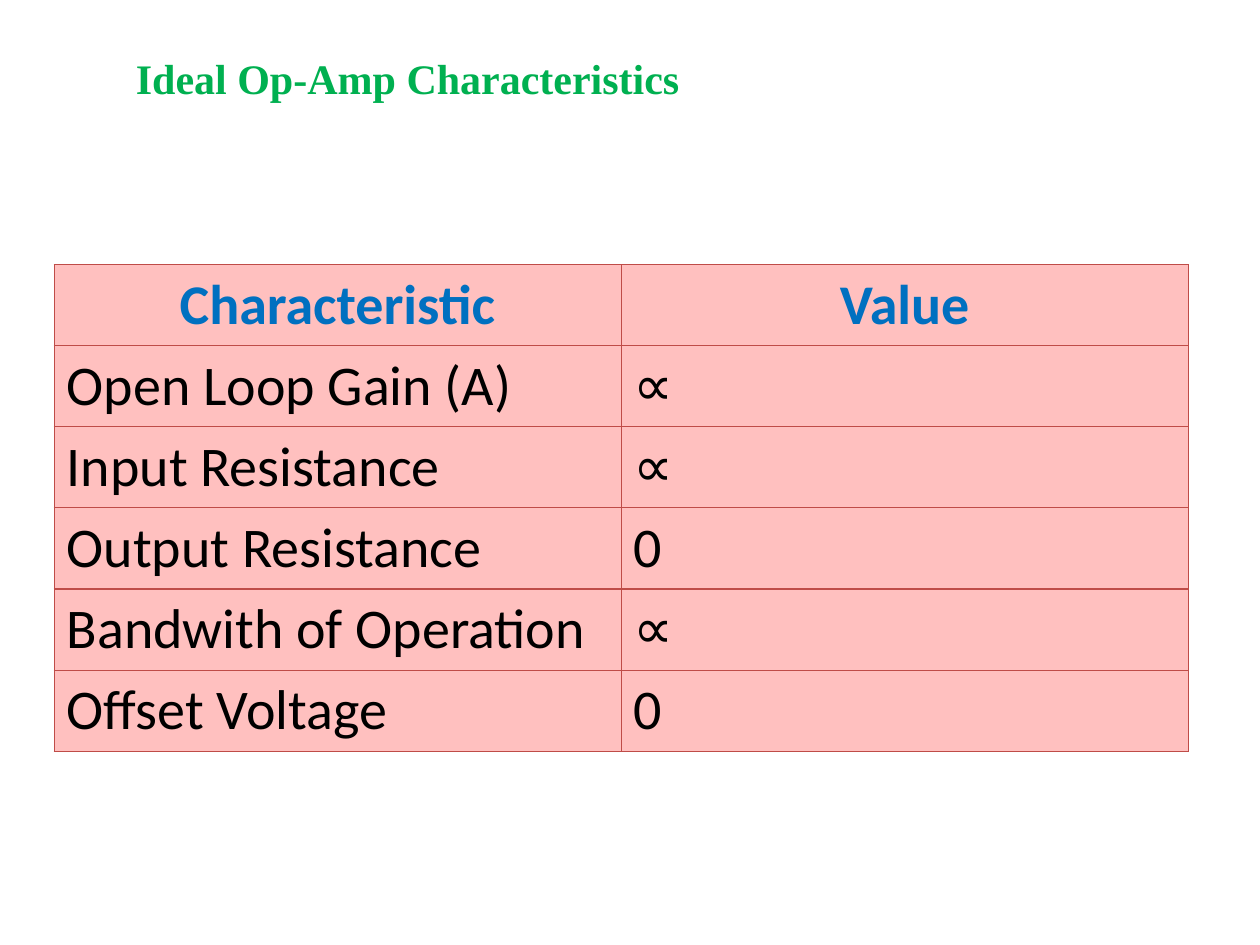
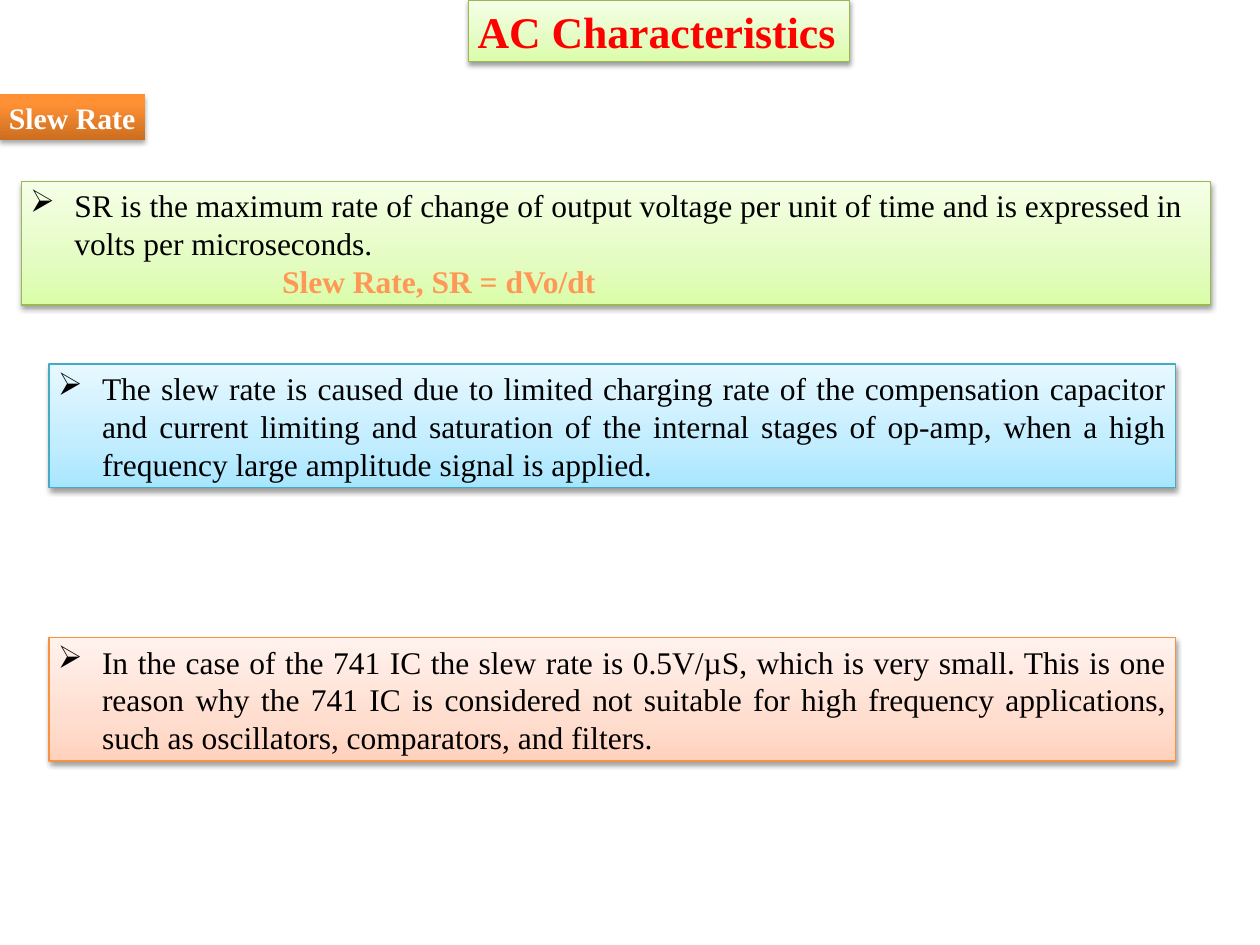
from dataclasses import dataclass
from lxml.etree import SubElement as Sub
from pptx import Presentation
from pptx.dml.color import RGBColor as Rgb
from pptx.enum.shapes import MSO_SHAPE as Kind
from pptx.enum.text import MSO_ANCHOR as Anchor, MSO_AUTO_SIZE as Fit, PP_ALIGN as Align
from pptx.oxml.ns import qn
from pptx.util import Inches, Pt


@dataclass(frozen=True)
class Theme:
    serif: str = "Times New Roman"
    sans: str = "Calibri"
    black: str = "000000"
    white: str = "FFFFFF"
    red: str = "FF0000"
    green: str = "00B050"
    blue: str = "0070C0"
    peach: str = "FF9856"
    cell: str = "FFC0BF"
    rule: str = "BF4C48"
    head: int = 25
    title: int = 24
    tag: int = 17
    body: int = 18
    grid: int = 32
    line: float = 0.75


@dataclass(frozen=True)
class Look:
    stops: tuple
    edge: str = ""
    dark: int = 38
    drop: float = 1.6


T = Theme()
LIME = Look(((0, "DAFDA7"), (35, "E4FCC2"), (100, "F5FFE7")), "98B955")
AQUA = Look(((0, "A7E6FF"), (35, "C1EDFF"), (100, "E7F8FF")), "46AAC5")
CORAL = Look(((0, "FFD2BD"), (35, "FFDED0"), (100, "FFF2ED")), "F69240")
AMBER = Look(((0, "CC6E20"), (80, "FF9034"), (100, "FF9136")), "", 35, 1.8)

ROWS = [
    ("Characteristic", "Value"),
    ("Open Loop Gain (A)", "∝"),
    ("Input Resistance", "∝"),
    ("Output Resistance", "0"),
    ("Bandwith of Operation", "∝"),
    ("Offset Voltage", "0"),
]


def add_run(para, text, size, color, bold=False, face=T.serif):
    run = para.add_run()
    run.text = text
    font = run.font
    font.name, font.size, font.bold = face, Pt(size), bold
    font.color.rgb = Rgb.from_string(color)


def add_color(node, color):
    return Sub(node, qn("a:srgbClr"), val=color)


def indent(para, left, first=0):
    prop = para._p.get_or_add_pPr()
    prop.set("marL", str(Inches(left)))
    prop.set("indent", str(Inches(first)))
    return prop


def add_point(para, text, align=Align.JUSTIFY):
    para.alignment = align
    Sub(indent(para, 0.35, -0.35), qn("a:buChar"), char="➢")
    add_run(para, text, T.body, T.black)


def shade(shape, look):
    shape.fill.gradient()
    shape.fill.gradient_angle = 90
    stops = shape._element.spPr.find(".//" + qn("a:gsLst"))
    for old in list(stops):
        stops.remove(old)
    for pos, color in look.stops:
        add_color(Sub(stops, qn("a:gs"), pos=str(pos * 1000)), color)


def cast(shape, look):
    shape.shadow.inherit = False
    glow = Sub(shape._element.spPr.find(qn("a:effectLst")), qn("a:outerShdw"),
               blurRad=str(Pt(3.1)), dist=str(Pt(look.drop)),
               dir="5400000", rotWithShape="0")
    Sub(add_color(glow, T.black), qn("a:alpha"), val=str(look.dark * 1000))


def add_panel(slide, spot, look, wrap=True):
    shape = slide.shapes.add_shape(Kind.RECTANGLE, *map(Inches, spot))
    shade(shape, look)
    if look.edge:
        shape.line.color.rgb = Rgb.from_string(look.edge)
        shape.line.width = Pt(T.line)
    else:
        shape.line.fill.background()
    cast(shape, look)
    frame = shape.text_frame
    frame.margin_left = frame.margin_right = Inches(0.07)
    frame.margin_top = frame.margin_bottom = Inches(0.04)
    frame.vertical_anchor = Anchor.TOP
    frame.word_wrap = wrap
    frame.auto_size = Fit.SHAPE_TO_FIT_TEXT
    frame.paragraphs[0].alignment = Align.LEFT
    return frame


def add_label(slide, spot, look, text, size, color):
    frame = add_panel(slide, spot, look, wrap=False)
    add_run(frame.paragraphs[0], text, size, color, True)


def add_title(slide, text):
    box = slide.shapes.add_textbox(*map(Inches, (0.98, 0.37, 8.58, 0.5)))
    box.text_frame.word_wrap = True
    add_run(box.text_frame.paragraphs[0], text, T.title, T.green, True)


def frame_cell(cell):
    prop = cell._tc.get_or_add_tcPr()
    for side in ("lnL", "lnR", "lnT", "lnB"):
        line = Sub(prop, qn("a:" + side), w=str(Pt(T.line)))
        add_color(Sub(line, qn("a:solidFill")), T.rule)
    cell.fill.solid()
    cell.fill.fore_color.rgb = Rgb.from_string(T.cell)


def add_grid(slide, rows):
    high = 0.643
    spot = map(Inches, (0.43, 2.1, 9, high * len(rows)))
    table = slide.shapes.add_table(len(rows), len(rows[0]), *spot).table
    table.first_row = table.horz_banding = False
    for r, row in enumerate(rows):
        for c, text in enumerate(row):
            cell = table.cell(r, c)
            frame_cell(cell)
            cell.vertical_anchor = Anchor.MIDDLE
            para = cell.text_frame.paragraphs[0]
            top = r == 0
            para.alignment = Align.CENTER if top else Align.LEFT
            add_run(para, text, T.grid, T.blue if top else T.black, top, T.sans)


def draw_ideal(slide):
    add_grid(slide, ROWS)
    add_title(slide, "Ideal Op-Amp Characteristics")


def draw_slew(slide):
    add_label(slide, (3.72, 0, 3.02, 0.49), LIME, "AC Characteristics", T.head, T.red)
    add_label(slide, (0, 0.75, 1.15, 0.36), AMBER, "Slew Rate", T.tag, T.white)
    frame = add_panel(slide, (0.17, 1.44, 9.44, 0.98), LIME)
    add_point(frame.paragraphs[0],
              "SR is the maximum rate of change of output voltage per unit of time "
              "and is expressed in volts per microseconds.", Align.LEFT)
    rule = frame.add_paragraph()
    rule.alignment = Align.LEFT
    indent(rule, 2)
    add_run(rule, "Slew Rate, SR = dVo/dt", T.body, T.peach, True)
    notes = [
        (2.89, AQUA,
         "The slew rate is caused due to limited charging rate of the compensation "
         "capacitor and current limiting and saturation of the internal stages of "
         "op-amp, when a high frequency large amplitude signal is applied."),
        (5.06, CORAL,
         "In the case of the 741 IC the slew rate is 0.5V/µS, which is very small. "
         "This is one reason why the 741 IC is considered not suitable for high "
         "frequency applications, such as oscillators, comparators, and filters."),
    ]
    for top, look, text in notes:
        frame = add_panel(slide, (0.39, top, 8.94, 0.98), look)
        add_point(frame.paragraphs[0], text)


def main():
    deck = Presentation()
    deck.slide_width, deck.slide_height = Inches(10), Inches(7.5)
    for draw in (draw_ideal, draw_slew):
        draw(deck.slides.add_slide(deck.slide_layouts[6]))
    deck.save("out.pptx")


if __name__ == "__main__":
    main()
